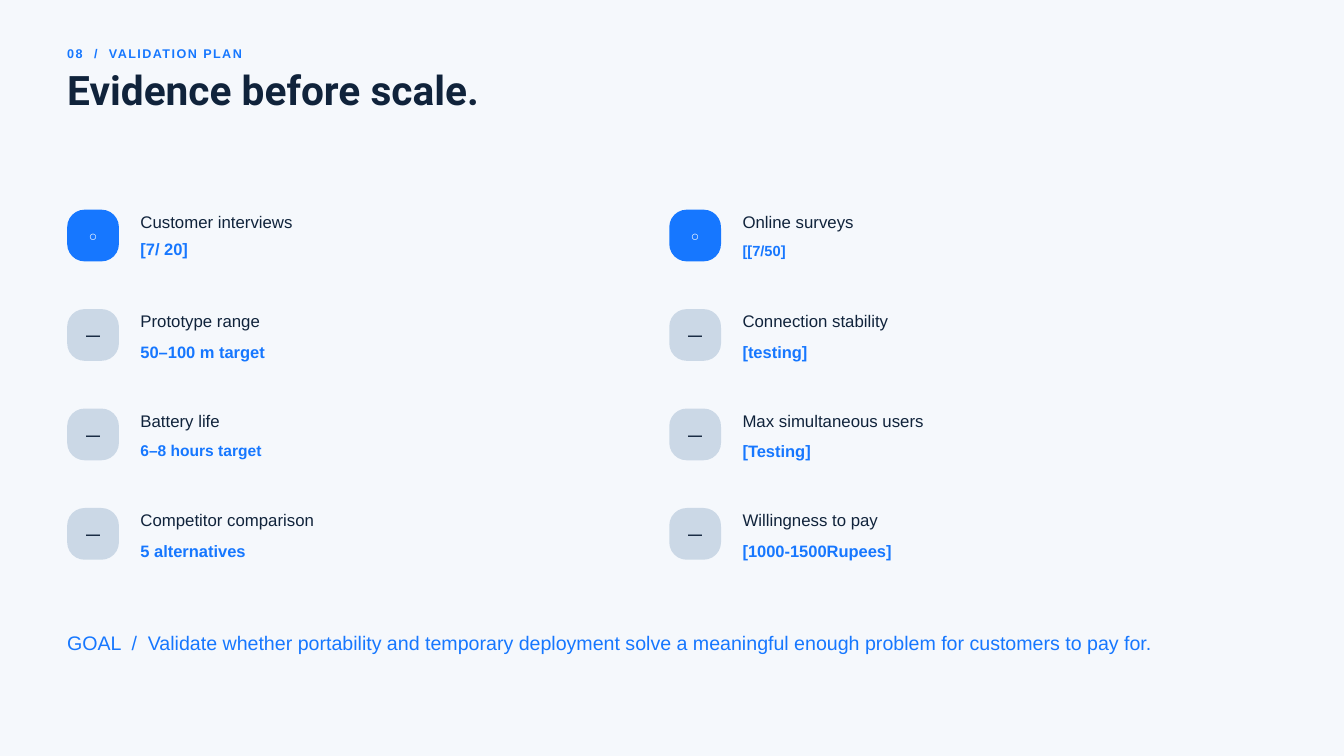
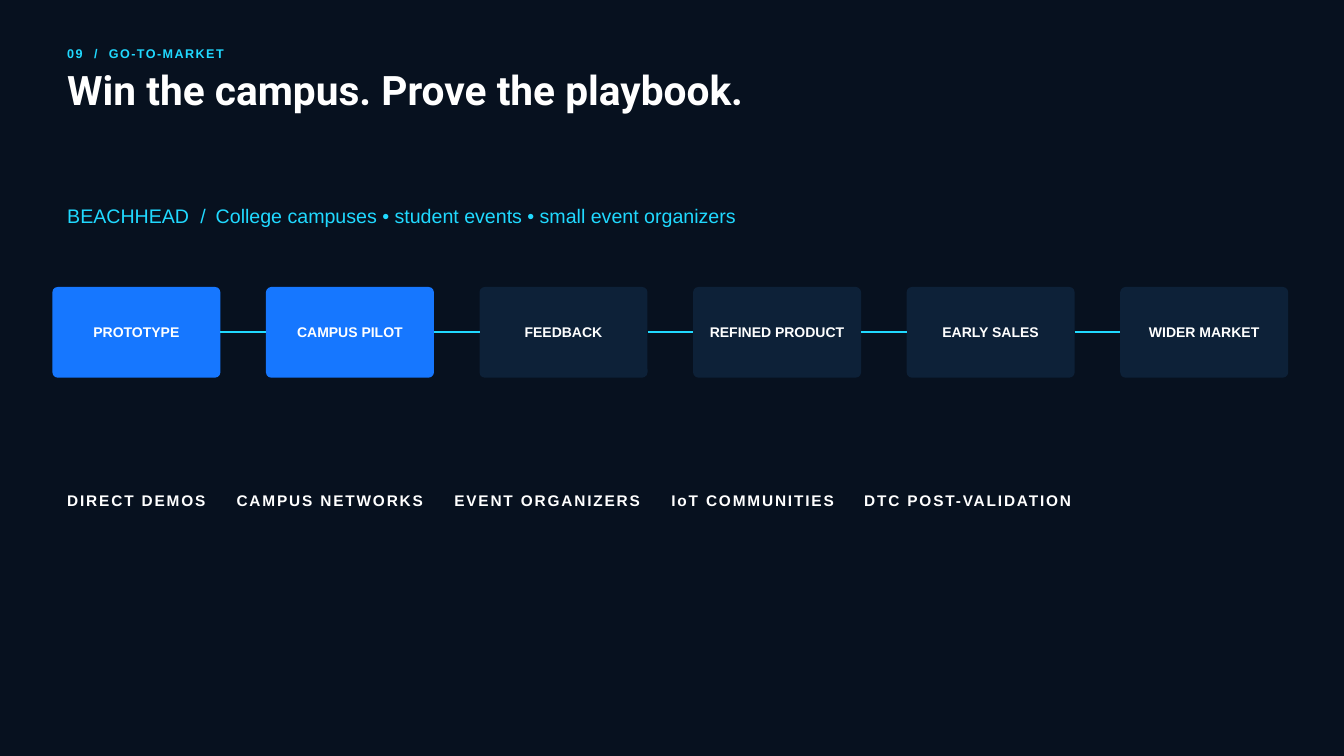
from collections import namedtuple
from dataclasses import dataclass

from lxml import etree
from pptx import Presentation
from pptx.dml.color import RGBColor
from pptx.enum.shapes import MSO_CONNECTOR, MSO_SHAPE
from pptx.enum.text import MSO_ANCHOR, PP_ALIGN
from pptx.oxml.ns import qn
from pptx.util import Inches, Pt

ROUNDED = MSO_SHAPE.ROUNDED_RECTANGLE
STRAIGHT = MSO_CONNECTOR.STRAIGHT
TOP, MIDDLE = MSO_ANCHOR.TOP, MSO_ANCHOR.MIDDLE
LEFT, CENTER = PP_ALIGN.LEFT, PP_ALIGN.CENTER
TITLE_ONLY = 5

Box = namedtuple("Box", "x y w h")
Style = namedtuple("Style", "size leading bold spacing font",
                   defaults=(False, 0, "Arial"))
Palette = namedtuple("Palette", "background title accent")
Check = namedtuple("Check", "label value done size drop",
                   defaults=(False, 17.7, 0.45))


@dataclass(frozen=True)
class Theme:
    light = Palette("F5F8FC", "10233B", "1677FF")
    dark = Palette("07111F", "FFFFFF", "20D9FF")
    blue = "1677FF"
    grey = "CBD8E6"
    navy = "0D2138"
    ink = "10233B"
    white = "FFFFFF"
    kicker = Style(13.5, 1.4, True, 1.6)
    title = Style(43.5, 1.08, True, 0, "Roboto")
    label = Style(18, 1.35)
    value = Style(17.7, 1.4, True)
    chip = Style(15, 1.4, True)
    statement = Style(21, 1.35)
    channels = Style(16.5, 1.4, True, 2)


T = Theme()

CHECKS = [
    Check("Customer interviews", "[7/ 20]", True, drop=0.4),
    Check("Online surveys", "[[7/50]", True, 15.7),
    Check("Prototype range", "50–100 m target"),
    Check("Connection stability", "[testing]"),
    Check("Battery life", "6–8 hours target", size=16.7),
    Check("Max simultaneous users", "[Testing]"),
    Check("Competitor comparison", "5 alternatives"),
    Check("Willingness to pay", "[1000-1500Rupees]"),
]
STAGES = ["PROTOTYPE", "CAMPUS PILOT", "FEEDBACK",
          "REFINED PRODUCT", "EARLY SALES", "WIDER MARKET"]
ACTIVE_STAGES = 2
CHANNELS = ["DIRECT DEMOS", "CAMPUS NETWORKS", "EVENT ORGANIZERS",
            "IoT COMMUNITIES", "DTC POST-VALIDATION"]


def rgb(value):
    return RGBColor.from_string(value)


def inches(box):
    return [Inches(v) for v in box]


def write(shape, text, style, color, align=LEFT, anchor=TOP,
          insets=(0, 0, 0, 0), tabs=()):
    tf = shape.text_frame
    tf.word_wrap = True
    tf.vertical_anchor = anchor
    tf.margin_left, tf.margin_top, tf.margin_right, tf.margin_bottom = inches(insets)
    p = tf.paragraphs[0]
    r = p.add_run()
    r.text = text
    p.alignment = align
    p.line_spacing = Pt(round(style.size * style.leading, 1))
    if tabs:
        stops = etree.SubElement(p._p.get_or_add_pPr(), qn("a:tabLst"))
        for pos in tabs:
            etree.SubElement(stops, qn("a:tab"), pos=str(Inches(pos)), algn="l")
    p.font.name = style.font
    p.font.size = Pt(style.size)
    p.font.bold = style.bold
    p.font.color.rgb = rgb(color)
    if style.spacing:
        r._r.get_or_add_rPr().set("spc", str(round(style.spacing * 100)))


def add_text(s, box, text, style, color, tabs=()):
    write(s.shapes.add_textbox(*inches(box)), text, style, color, tabs=tabs)


def add_chip(s, box, radius, text, fill, color):
    sp = s.shapes.add_shape(ROUNDED, *inches(box))
    sp.adjustments[0] = radius / min(box.w, box.h)
    sp.shadow.inherit = False
    sp.fill.solid()
    sp.fill.fore_color.rgb = rgb(fill)
    sp.line.fill.background()
    write(sp, text, T.chip, color, CENTER, MIDDLE, (0.06, 0.06, 0.06, 0.1))
    return sp


def add_link(s, start, end):
    y = start.top + start.height // 2
    line = s.shapes.add_connector(STRAIGHT, start.left + start.width, y, end.left, y)
    line.begin_connect(start, 3)
    line.end_connect(end, 1)
    line.line.color.rgb = rgb(T.dark.accent)
    line.line.width = Pt(2.25)
    etree.SubElement(line._element.spPr, qn("a:effectLst"))


def add_slide(prs, palette, number, section, title):
    s = prs.slides.add_slide(prs.slide_layouts[TITLE_ONLY])
    s.background.fill.solid()
    s.background.fill.fore_color.rgb = rgb(palette.background)
    add_text(s, Box(1, 0.65, 6.25, 0.24), f"{number}\t/\t{section}",
             T.kicker, palette.accent, (0.4, 0.62))
    sp = s.shapes.title
    sp.left, sp.top, sp.width, sp.height = inches(Box(1, 1.04, 15.62, 0.76))
    write(sp, title, T.title, palette.title)
    return s


def add_check(s, box, check):
    fill, mark, color = (T.blue, "○", T.white) if check.done else (T.grey, "—", T.ink)
    add_chip(s, Box(box.x, box.y, 0.77, 0.77), 0.26, mark, fill, color)
    x, y = box.x + 1.09, box.y - 0.01
    add_text(s, Box(x, y, 5, 0.33), check.label, T.label, T.ink)
    add_text(s, Box(x, y + check.drop, 3.33, 0.33), check.value,
             T.value._replace(size=check.size), T.blue)


def add_check_grid(s, box, columns=2):
    rows = len(CHECKS) // columns
    w, h = box.w / columns, box.h / rows
    for i, check in enumerate(CHECKS):
        row, col = divmod(i, columns)
        add_check(s, Box(box.x + col * w, box.y + row * h, w, h), check)


def add_stage_flow(s, box, width=2.5):
    pitch = (box.w - width) / (len(STAGES) - 1)
    previous = None
    for i, stage in enumerate(STAGES):
        fill = T.blue if i < ACTIVE_STAGES else T.navy
        chip = add_chip(s, Box(box.x + i * pitch, box.y, width, box.h), 0.08,
                        stage, fill, T.white)
        if previous is not None:
            add_link(s, previous, chip)
        previous = chip


def validation_slide(prs):
    s = add_slide(prs, T.light, "08", "VALIDATION PLAN", "Evidence before scale.")
    add_check_grid(s, Box(1, 3.12, 17.92, 5.92))
    add_text(s, Box(1, 9.34, 17.19, 0.37),
             "GOAL\t/\tValidate whether portability and temporary deployment solve "
             "a meaningful enough problem for customers to pay for.",
             T.statement, T.light.accent, (0.96, 1.2))


def market_slide(prs):
    s = add_slide(prs, T.dark, "09", "GO-TO-MARKET",
                  "Win the campus. Prove the playbook.")
    add_stage_flow(s, Box(0.78, 4.27, 18.39, 1.35))
    add_text(s, Box(1, 2.99, 15.62, 0.37),
             "BEACHHEAD\t/\tCollege campuses • student events • small event organizers",
             T.statement, T.dark.accent, (1.98, 2.21))
    add_text(s, Box(1, 7.26, 17.19, 0.3), "\t".join(CHANNELS),
             T.channels, T.white, (2.52, 5.76, 8.99, 11.86))


def main():
    prs = Presentation()
    prs.slide_width, prs.slide_height = Inches(20), Inches(11.25)
    validation_slide(prs)
    market_slide(prs)
    prs.save("out.pptx")


if __name__ == "__main__":
    main()
